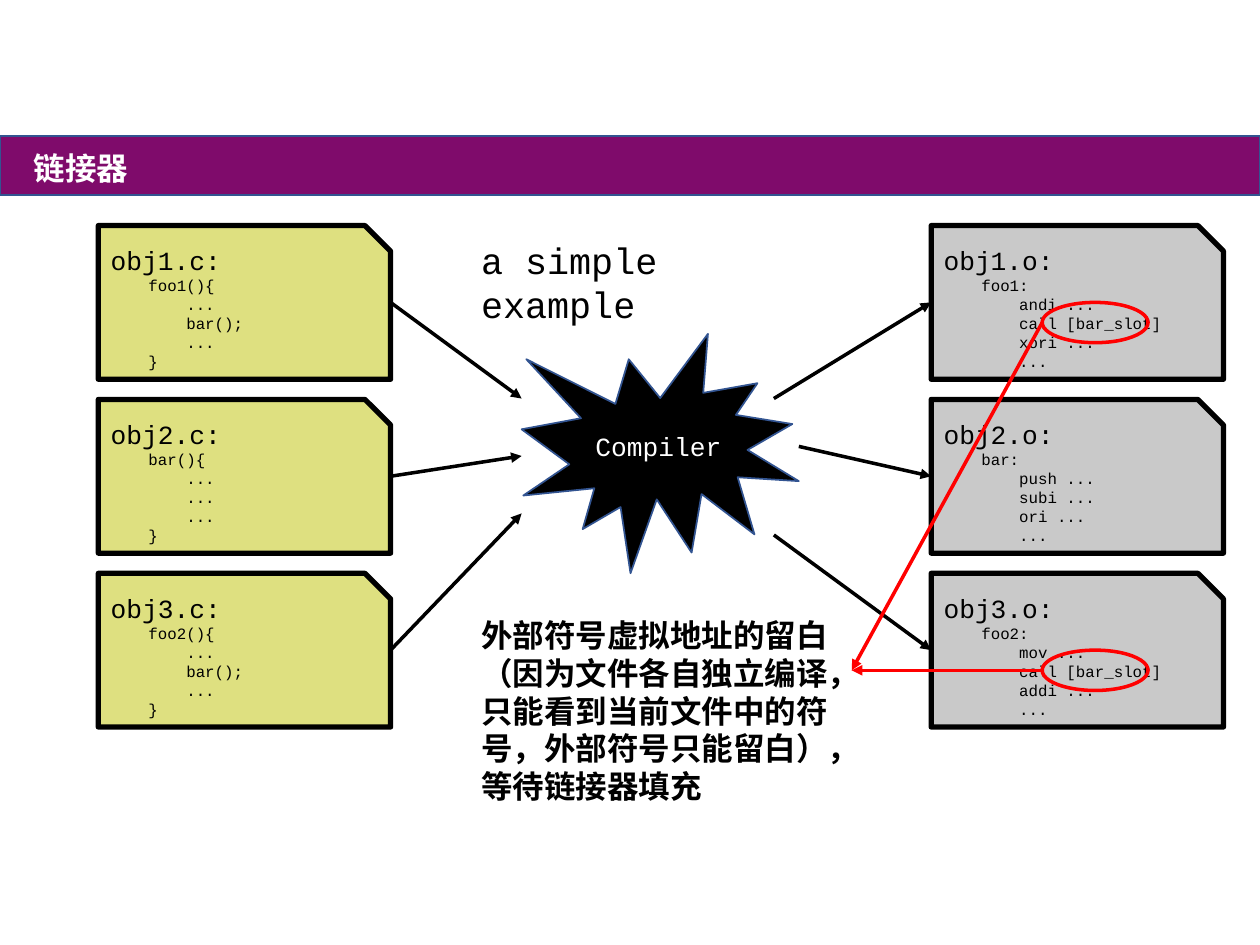
from collections import namedtuple

from lxml import etree
from pptx import Presentation
from pptx.dml.color import RGBColor
from pptx.enum.shapes import MSO_CONNECTOR, MSO_SHAPE
from pptx.enum.text import MSO_ANCHOR, PP_ALIGN
from pptx.oxml.ns import qn
from pptx.util import Inches, Pt

RECTANGLE, CARD = MSO_SHAPE.RECTANGLE, MSO_SHAPE.SNIP_1_RECTANGLE
BURST, ELLIPSE = MSO_SHAPE.EXPLOSION1, MSO_SHAPE.OVAL
STRAIGHT = MSO_CONNECTOR.STRAIGHT
TOP, MIDDLE = MSO_ANCHOR.TOP, MSO_ANCHOR.MIDDLE
LEFT, CENTER = PP_ALIGN.LEFT, PP_ALIGN.CENTER

Box = namedtuple("Box", "left top width height")


class Theme:
    purple, blue, red = "7F0B6B", "325491", "FF0000"
    black, white = "000000", "FFFFFF"
    source, output = "DEE080", "C9C9C9"
    mono, chinese = "Courier New", "Noto Sans CJK SC"
    code_size, label_size, title_size, caption_size = 9, 15, 18, 21
    thin, arrow, border = 1, 2, 3


# Files by row: name, then code lines
SOURCES = [
    ("obj1.c:", "    foo1(){", "        ...", "        bar();", "        ...", "    }"),
    ("obj2.c:", "    bar(){", "        ...", "        ...", "        ...", "    }"),
    ("obj3.c:", "    foo2(){", "        ...", "        bar();", "        ...", "    }"),
]
OUTPUTS = [
    ("obj1.o:", "    foo1:", "        andi ...", "        call [bar_slot]",
     "        xori ...", "        ..."),
    ("obj2.o:", "    bar:", "        push ...", "        subi ...",
     "        ori ...", "        ..."),
    ("obj3.o:", "    foo2:", "        mov ...", "        call [bar_slot]",
     "        addi ...", "        ..."),
]
NOTE = ("外部符号虚拟地址的留白（因为文件各自独立编译，只能看到当前文件中的符号，"
        "外部符号只能留白），等待链接器填充")

# Card grid
CARD_WIDTH, CARD_HEIGHT, CARD_TOP, ROW_PITCH = 2.32, 1.22, 1.79, 1.38


def point(box, across, down):
    """The point at the given shares of a box."""
    return box.left + across * box.width, box.top + down * box.height


def column(left):
    return [Box(left, CARD_TOP + row * ROW_PITCH, CARD_WIDTH, CARD_HEIGHT)
            for row in range(3)]


def add_shape(slide, kind, box, fill, line, width):
    shape = slide.shapes.add_shape(kind, *map(Inches, box))
    shape.shadow.inherit = False
    if fill:
        shape.fill.solid()
        shape.fill.fore_color.rgb = RGBColor.from_string(fill)
    else:
        shape.fill.background()
    shape.line.color.rgb = RGBColor.from_string(line)
    shape.line.width = Pt(width)
    return shape


def write(shape, lines, font, color, bold=False, align=LEFT, anchor=TOP):
    """Fill a shape with (text, size) lines."""
    frame = shape.text_frame
    frame.word_wrap = True
    frame.vertical_anchor = anchor
    for index, (text, size) in enumerate(lines):
        paragraph = frame.add_paragraph() if index else frame.paragraphs[0]
        paragraph.alignment = align
        run = paragraph.add_run()
        run.text = text
        for name, value in {"name": font, "size": Pt(size), "bold": bold}.items():
            setattr(run.font, name, value)
        run.font.color.rgb = RGBColor.from_string(color)
        east_asian = etree.SubElement(run.font._element, qn("a:ea"))
        east_asian.set("typeface", font)


def add_text(slide, box, text, size, font, color, **style):
    write(slide.shapes.add_textbox(*map(Inches, box)), [(text, size)],
          font, color, **style)


def add_arrow(slide, start, end, color):
    arrow = slide.shapes.add_connector(STRAIGHT, *map(Inches, start + end))
    arrow.line.color.rgb = RGBColor.from_string(color)
    arrow.line.width = Pt(Theme.arrow)
    etree.SubElement(arrow.line._get_or_add_ln(), qn("a:tailEnd")).set("type", "triangle")
    etree.SubElement(arrow._element.spPr, qn("a:effectLst"))


def add_title_bar(slide, box, title):
    add_shape(slide, RECTANGLE, box, Theme.purple, Theme.blue, Theme.thin)
    title_box = Box(box.left + 0.11, box.top + 0.05, 1.07, 0.4)
    add_text(slide, title_box, title, Theme.title_size, Theme.chinese,
             Theme.white, bold=True, align=CENTER)


def add_files(slide, boxes, files, fill):
    for box, (name, *code) in zip(boxes, files):
        card = add_shape(slide, CARD, box, fill, Theme.black, Theme.border)
        lines = [(name, Theme.label_size)] + [(text, Theme.code_size) for text in code]
        write(card, lines, Theme.mono, Theme.black)


def add_compiler(slide, box, sources, outputs):
    burst = add_shape(slide, BURST, box, Theme.black, Theme.blue, Theme.thin)
    write(burst, [("Compiler", Theme.label_size)], Theme.mono, Theme.white,
          align=CENTER, anchor=MIDDLE)
    # Arrows in from the sources and out to the object files
    for card, down in zip(sources, (0.27, 0.51, 0.75)):
        add_arrow(slide, point(card, 1, 0.5), point(box, 0, down), Theme.black)
    for card, share in zip(outputs, ((0.91, 0.27), (1, 0.47), (0.91, 0.84))):
        add_arrow(slide, point(box, *share), point(card, 0, 0.5), Theme.black)


def add_slot_marks(slide, cards, target):
    """Ring the unresolved call in each card and point to the note."""
    for card in cards:
        ring = Box(*point(card, 0.38, 0.5), 0.84, 0.32)
        add_shape(slide, ELLIPSE, ring, None, Theme.red, Theme.arrow)
        add_arrow(slide, point(ring, 0, 0.5), target, Theme.red)


def main():
    presentation = Presentation()
    presentation.slide_width, presentation.slide_height = Inches(10), Inches(7.5)
    slide = presentation.slides.add_slide(presentation.slide_layouts[6])

    sources, outputs = column(0.78), column(7.39)
    add_title_bar(slide, Box(0, 1.08, 10, 0.47), "链接器")
    add_files(slide, sources, SOURCES, Theme.source)
    add_files(slide, outputs, OUTPUTS, Theme.output)
    add_compiler(slide, Box(4.14, 2.65, 2.2, 1.9), sources, outputs)

    # Caption and note in the middle column
    add_text(slide, Box(3.72, 1.84, 2.8, 0.45), "a simple example",
             Theme.caption_size, Theme.mono, Theme.black)
    add_text(slide, Box(3.72, 4.84, 3.1, 1.62), NOTE, Theme.title_size,
             Theme.chinese, Theme.black, bold=True)
    add_slot_marks(slide, outputs[::2], (6.76, 5.32))

    presentation.save("out.pptx")


if __name__ == "__main__":
    main()
